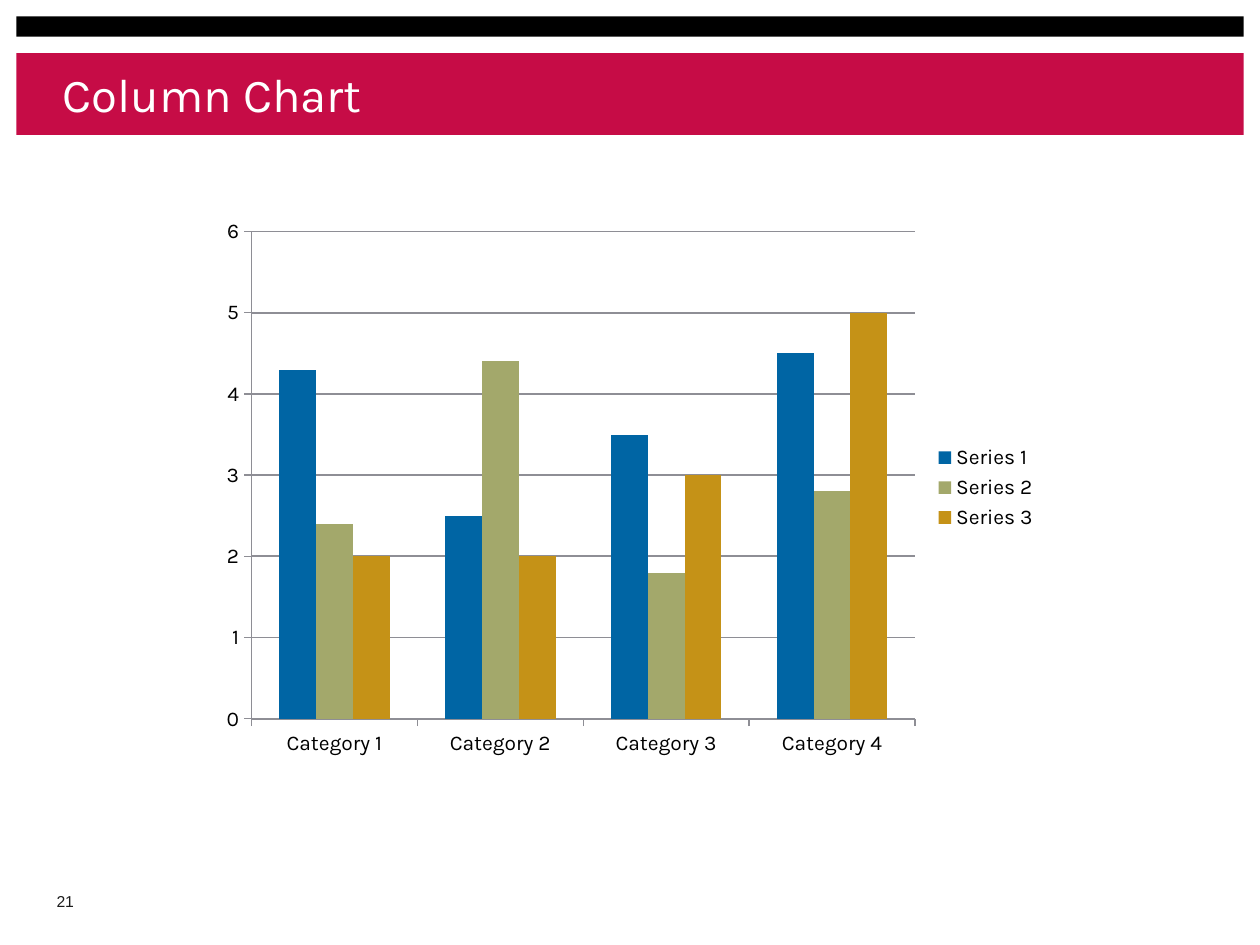
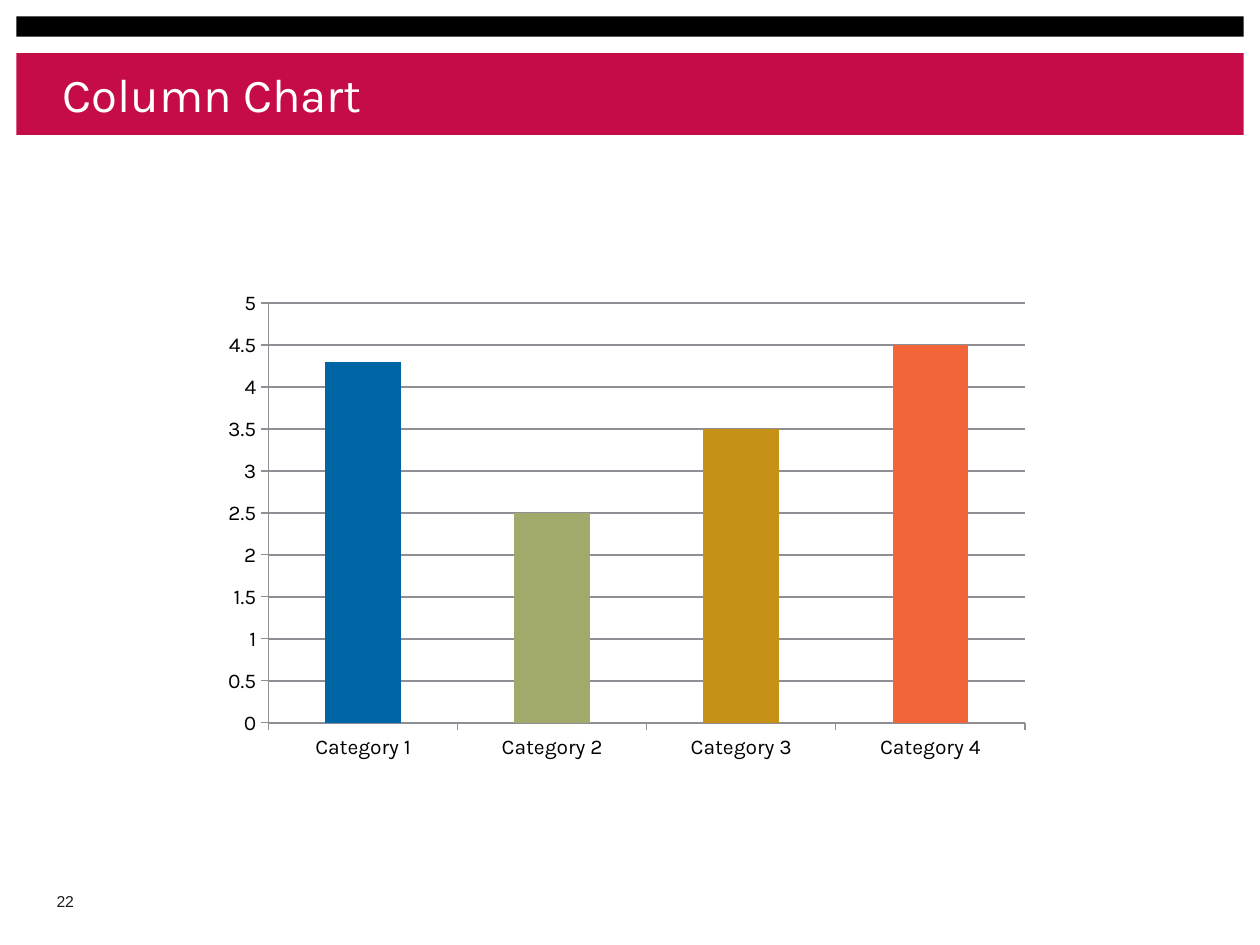
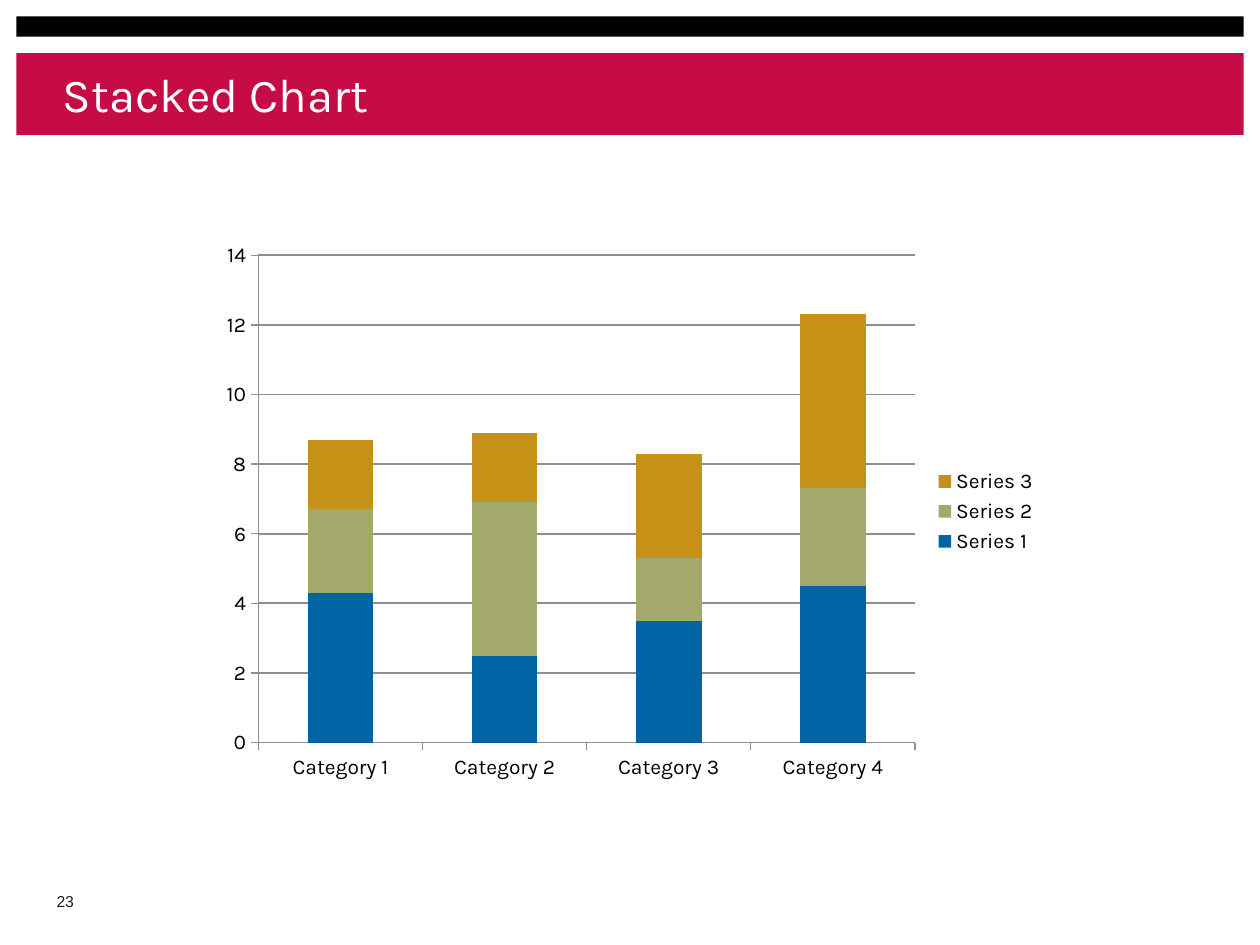
from lxml import etree
from pptx import Presentation
from pptx.chart.data import CategoryChartData
from pptx.dml.color import RGBColor
from pptx.enum.chart import XL_CHART_TYPE, XL_LEGEND_POSITION, XL_TICK_MARK
from pptx.enum.shapes import MSO_SHAPE
from pptx.enum.text import MSO_ANCHOR, MSO_AUTO_SIZE
from pptx.oxml.ns import qn
from pptx.util import Cm, Pt

RECT = MSO_SHAPE.RECTANGLE
MIDDLE = MSO_ANCHOR.MIDDLE
FIT_SHAPE = MSO_AUTO_SIZE.SHAPE_TO_FIT_TEXT
NO_FIT = MSO_AUTO_SIZE.NONE
CLUSTERED = XL_CHART_TYPE.COLUMN_CLUSTERED
STACKED = XL_CHART_TYPE.COLUMN_STACKED
RIGHT = XL_LEGEND_POSITION.RIGHT
OUTSIDE = XL_TICK_MARK.OUTSIDE

CRIMSON = RGBColor(0xC6, 0x0C, 0x46)
BLACK = RGBColor(0x00, 0x00, 0x00)
WHITE = RGBColor(0xFF, 0xFF, 0xFF)
INK = RGBColor(0x1C, 0x1C, 0x1C)
GREY = RGBColor(0x8E, 0x8E, 0x95)
BLUE = RGBColor(0x00, 0x65, 0xA4)
SAGE = RGBColor(0xA3, 0xA8, 0x6B)
OCHRE = RGBColor(0xC5, 0x92, 0x17)
ORANGE = RGBColor(0xF2, 0x65, 0x39)
PALETTE = [BLUE, SAGE, OCHRE, ORANGE]

FONT = "Karla"
NUMBER_FONT = "Arial"

# Content
CATEGORIES = ["Category 1", "Category 2", "Category 3", "Category 4"]
SERIES = [
    ("Series 1", (4.3, 2.5, 3.5, 4.5)),
    ("Series 2", (2.4, 4.4, 1.8, 2.8)),
    ("Series 3", (2, 2, 3, 5)),
]
SLIDES = [
    dict(title="Column Chart", kind=CLUSTERED, series=SERIES,
         top=4.19, peak=6, step=1),
    dict(title="Column Chart", kind=CLUSTERED, series=SERIES[:1],
         top=4.42, peak=5, step=0.5, plot_area=(0.07, 0.15, 0.9, 0.75)),
    dict(title="Stacked Chart", kind=STACKED, series=SERIES,
         top=4.67, peak=14, step=2),
]
FIRST_NUMBER = 21

# Shared geometry in cm
SLIDE_W, SLIDE_H = 25.4, 19.05
MARGIN = 0.33
BANDS = [(1.07, 1.65, CRIMSON), (MARGIN, 0.41, BLACK)]  # top, height, fill
CHART_W, CHART_H = 16.94, 11.28


def add_text(s, text, box, *, size, font, color, inset=0.0, wrap=True,
             fit=NO_FIT, after=0):
    tf = s.shapes.add_textbox(*map(Cm, box)).text_frame
    tf.word_wrap = wrap
    tf.auto_size = fit
    tf.vertical_anchor = MIDDLE
    tf.margin_left = tf.margin_right = Cm(inset)
    tf.margin_top = tf.margin_bottom = Cm(inset)
    p = tf.paragraphs[0]
    p.space_after = Pt(after)
    r = p.add_run()
    r.text = text
    r.font.size = Pt(size)
    r.font.name = font
    r.font.color.rgb = color


def add_frame(s, title, number):
    for top, height, color in BANDS:
        band = s.shapes.add_shape(RECT, Cm(MARGIN), Cm(top),
                                  Cm(SLIDE_W - 2 * MARGIN), Cm(height))
        band.shadow.inherit = False
        band.fill.solid()
        band.fill.fore_color.rgb = color
        band.line.fill.background()
    add_text(s, str(number), (0.89, 17.73, 0.91, 0.89), size=9,
             font=NUMBER_FONT, color=INK, inset=0.25, wrap=False,
             fit=FIT_SHAPE, after=3)
    add_text(s, title, (1.27, 1.37, 23.77, 1.02), size=27, font=FONT,
             color=WHITE)


def fill_solid(part, color):
    part.format.fill.solid()
    part.format.fill.fore_color.rgb = color


def place_plot(chart, area):
    """Fix the inner plot area, given as fractions of the chart."""
    plot_area = chart.element.find(".//" + qn("c:plotArea"))
    for old in plot_area.findall(qn("c:layout")):
        plot_area.remove(old)
    layout = etree.Element(qn("c:layout"))
    manual = etree.SubElement(layout, qn("c:manualLayout"))
    settings = [("layoutTarget", "inner"), ("xMode", "edge"), ("yMode", "edge")]
    settings += zip("xywh", area)
    for tag, value in settings:
        etree.SubElement(manual, qn("c:" + tag), val=str(value))
    plot_area.insert(0, layout)


def add_column_chart(s, kind, series, top, peak, step, plot_area=None):
    data = CategoryChartData()
    data.categories = CATEGORIES
    for name, values in series:
        data.add_series(name, values)
    chart = s.shapes.add_chart(kind, Cm((SLIDE_W - CHART_W) / 2), Cm(top),
                               Cm(CHART_W), Cm(CHART_H), data).chart
    chart.has_title = False
    chart.font.name = FONT
    chart.font.size = Pt(18)
    chart.font.color.rgb = BLACK

    # Columns: one colour a series, or one a category for a single series
    plot = chart.plots[0]
    plot.vary_by_categories = False
    plot.gap_width = 150
    plot.overlap = 100 if kind == STACKED else 0
    if len(series) > 1:
        parts = list(plot.series)
    else:
        parts = [plot.series[0].points[i] for i in range(len(CATEGORIES))]
    for part, color in zip(parts, PALETTE):
        fill_solid(part, color)

    # Axes
    for axis in (chart.category_axis, chart.value_axis):
        axis.major_tick_mark = OUTSIDE
        axis.tick_labels.font.size = Pt(12)
        axis.format.line.color.rgb = GREY
        axis.format.line.width = Pt(0.75)
    axis = chart.value_axis
    axis.minimum_scale, axis.maximum_scale = 0, peak
    axis.major_unit = step
    axis.major_gridlines.format.line.color.rgb = GREY
    axis.major_gridlines.format.line.width = Pt(0.95)

    # Legend
    chart.has_legend = len(series) > 1
    if chart.has_legend:
        chart.legend.position = RIGHT
        chart.legend.include_in_layout = False
        chart.legend.font.size = Pt(12)
    if plot_area:
        place_plot(chart, plot_area)


prs = Presentation()
prs.slide_width, prs.slide_height = Cm(SLIDE_W), Cm(SLIDE_H)
blank = prs.slide_layouts[6]
for number, content in enumerate(SLIDES, FIRST_NUMBER):
    s = prs.slides.add_slide(blank)
    options = dict(content)
    add_frame(s, options.pop("title"), number)
    add_column_chart(s, **options)
prs.save("out.pptx")
